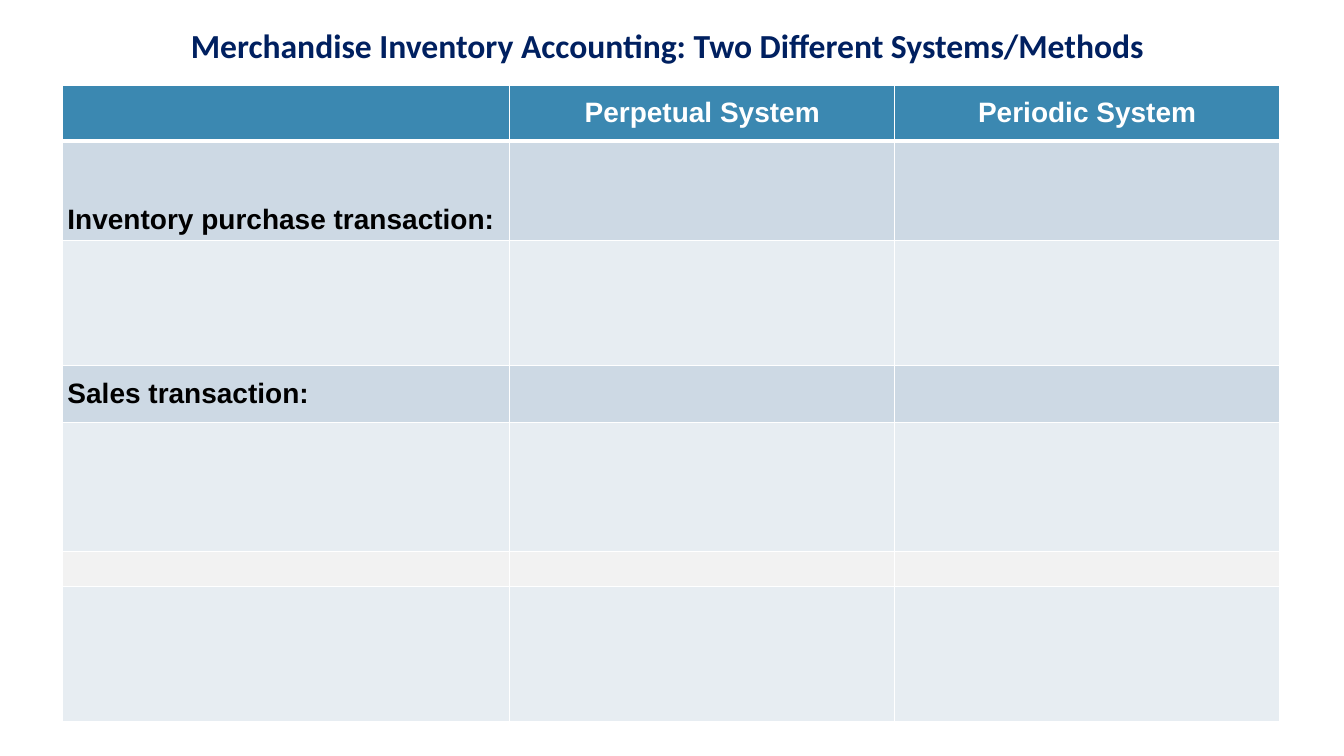
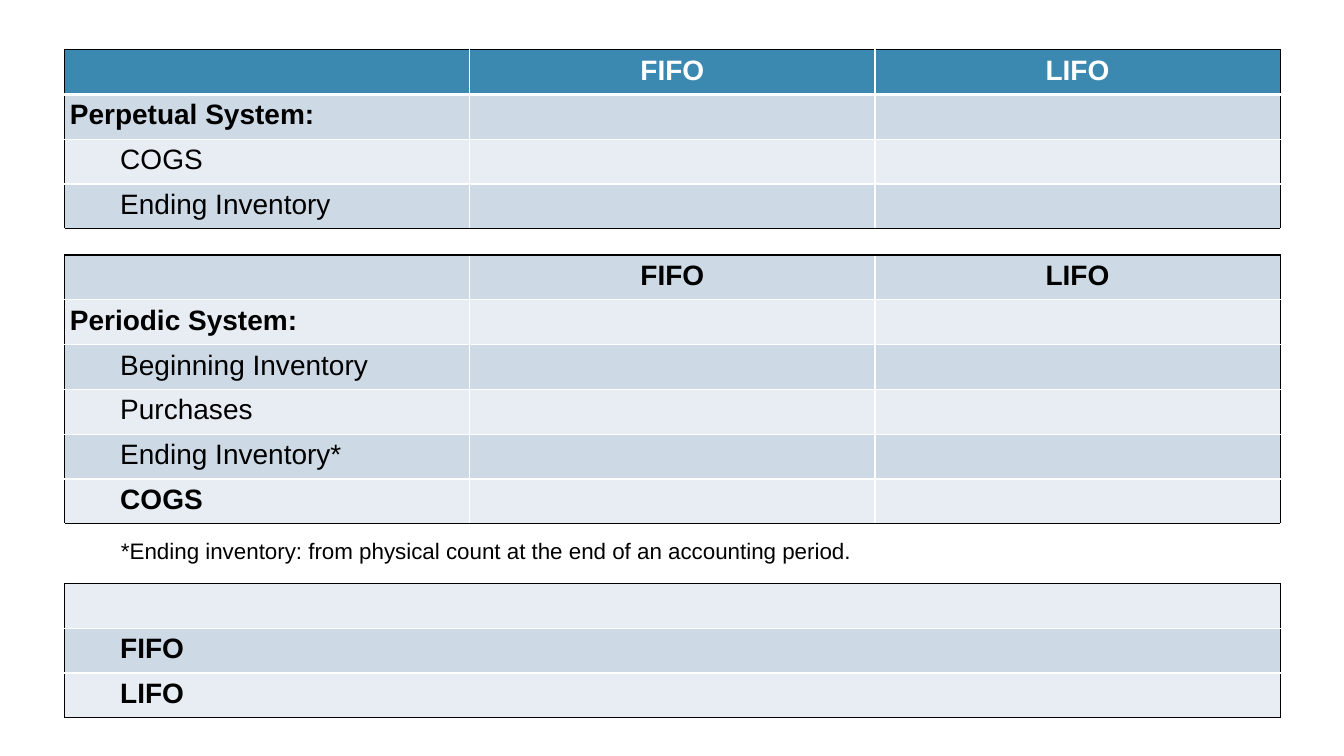
from dataclasses import dataclass

from lxml import etree
from pptx import Presentation
from pptx.dml.color import RGBColor
from pptx.enum.text import MSO_ANCHOR, MSO_AUTO_SIZE, PP_ALIGN
from pptx.oxml.ns import qn
from pptx.util import Cm, Pt

CENTER, LEFT = PP_ALIGN.CENTER, PP_ALIGN.LEFT
TOP, MIDDLE, BOTTOM = MSO_ANCHOR.TOP, MSO_ANCHOR.MIDDLE, MSO_ANCHOR.BOTTOM
FIT_SHAPE = MSO_AUTO_SIZE.SHAPE_TO_FIT_TEXT


@dataclass(frozen=True)
class Theme:
    navy: str = "002060"
    header: str = "3B88B1"
    dark_band: str = "CDD9E4"
    light_band: str = "E7EDF2"
    grey_band: str = "F2F2F2"
    black: str = "000000"
    white: str = "FFFFFF"
    title_font: str = "Calibri"
    body_font: str = "Arial"
    title_size: int = 24
    table_size: int = 20
    note_size: int = 16
    empty_size: int = 8
    inset: int = Cm(0.13)
    indent: int = Cm(1.27)
    thin: int = Pt(1)
    thick: int = Pt(3)


THEME = Theme()


def write(frame, text, size, color, bold=False, font=THEME.body_font, align=LEFT):
    frame.margin_left = frame.margin_right = THEME.inset
    frame.margin_top = frame.margin_bottom = THEME.inset
    paragraph = frame.paragraphs[0]
    paragraph.text = text
    paragraph.alignment = align
    paragraph.font.name = font
    paragraph.font.size = Pt(size)
    paragraph.font.bold = bold
    paragraph.font.color.rgb = RGBColor.from_string(color)
    return paragraph


def style_cell(cell, fill, borders):
    """Fill a cell and draw its borders, given as {side: (color, width)}."""
    properties = cell._tc.get_or_add_tcPr()
    for side in "LRTB":
        color, width = borders[side]
        line = etree.SubElement(properties, qn(f"a:ln{side}"), w=str(width))
        solid = etree.SubElement(line, qn("a:solidFill"))
        etree.SubElement(solid, qn("a:srgbClr"), val=color)
    if fill:
        cell.fill.solid()
        cell.fill.fore_color.rgb = RGBColor.from_string(fill)
    else:
        cell.fill.background()
    cell.margin_left = cell.margin_right = THEME.inset
    cell.margin_top = cell.margin_bottom = THEME.inset


presentation = Presentation()
presentation.slide_width, presentation.slide_height = Cm(33.87), Cm(19.05)
blank = presentation.slide_layouts[6]
systems_slide = presentation.slides.add_slide(blank)
costing_slide = presentation.slides.add_slide(blank)

title = systems_slide.shapes.add_textbox(Cm(0), Cm(0.51), Cm(33.64), Cm(1.27))
title.text_frame.word_wrap = True
title.text_frame.auto_size = FIT_SHAPE
write(title.text_frame, "Merchandise Inventory Accounting: Two Different Systems/Methods",
      THEME.title_size, THEME.navy, True, THEME.title_font, CENTER)

# Each row: height in cm, fill, texts, first-column style, anchor
dark, light = THEME.dark_band, THEME.light_band
systems_rows = [
    (1.42, THEME.header, ["", "Perpetual System", "Periodic System"], "bold", MIDDLE),
    (2.51, dark, ["Inventory purchase transaction:"], "bold", BOTTOM),
    (3.15, light, [], "bold", TOP),
    (1.42, dark, ["Sales transaction:"], "bold", MIDDLE),
    (3.25, light, [], "bold", TOP),
    (0.89, THEME.grey_band, [], "bold", TOP),
    (3.4, light, [], "bold", TOP),
]

line_height = 1.13
methods = ["", "FIFO", "LIFO"]
costing_rows = [
    (line_height, THEME.header, methods, "bold", TOP),
    (line_height, dark, ["Perpetual System:"], "bold", TOP),
    (line_height, light, ["COGS"], "indent", TOP),
    (line_height, dark, ["Ending Inventory"], "indent", TOP),
    (0.66, None, [], "gap", TOP),
    (line_height, dark, methods, "bold", TOP),
    (line_height, light, ["Periodic System:"], "bold", TOP),
    (line_height, dark, ["Beginning Inventory"], "indent", TOP),
    (line_height, light, ["Purchases"], "indent", TOP),
    (line_height, dark, ["Ending Inventory*"], "indent", TOP),
    (line_height, light, ["COGS"], "bold indent", TOP),
    (1.5, None, [], "gap", TOP),
    (line_height, light, [], "merged", TOP),
    (line_height, dark, ["FIFO"], "merged bold indent", TOP),
    (line_height, light, ["LIFO"], "merged bold indent", TOP),
]

# Each table: slide, left, top, column widths in cm, rows, outline color
tables = [
    (systems_slide, 1.57, 2.14, [11.28, 9.7, 9.7], systems_rows, THEME.white),
    (costing_slide, 1.63, 1.25, [10.21] * 3, costing_rows, THEME.black),
]
for slide, left, top, widths, rows, outline in tables:
    height = sum(row[0] for row in rows)
    table = slide.shapes.add_table(len(rows), len(widths), Cm(left), Cm(top),
                                   Cm(sum(widths)), Cm(height)).table
    table.first_row = table.horz_banding = False
    for column, width in zip(table.columns, widths):
        column.width = Cm(width)

    fills = [None] + [row[1] for row in rows] + [None]
    for row_index, (height, fill, texts, style, anchor) in enumerate(rows):
        table.rows[row_index].height = Cm(height)
        above, below = fills[row_index], fills[row_index + 2]
        is_header = fill == THEME.header
        text_color = THEME.white if is_header else THEME.black
        side_color = outline if fill else THEME.white
        top_color = THEME.white if fill and above else outline
        bottom_color = THEME.white if fill and below else outline
        last_column = len(widths) - 1
        for column_index in range(len(widths)):
            cell = table.cell(row_index, column_index)
            at_right = column_index == last_column or "merged" in style
            style_cell(cell, fill, {
                "L": (side_color if column_index == 0 else THEME.white, THEME.thin),
                "R": (side_color if at_right else THEME.white, THEME.thin),
                "T": (top_color, THEME.thick if above == THEME.header else THEME.thin),
                "B": (bottom_color, THEME.thick if is_header else THEME.thin),
            })
            cell.vertical_anchor = anchor
            text = texts[column_index] if column_index < len(texts) else ""
            if not text:
                # Small type keeps empty rows from growing
                etree.SubElement(cell.text_frame.paragraphs[0]._p, qn("a:endParaRPr"),
                                 sz=str(THEME.empty_size * 100))
                continue
            paragraph = write(cell.text_frame, text, THEME.table_size, text_color,
                              "bold" in style, align=CENTER if column_index else LEFT)
            if "indent" in style:
                paragraph.level = 1
                paragraph._p.get_or_add_pPr().set("marL", str(THEME.indent))
        if "merged" in style:
            table.cell(row_index, 0).merge(table.cell(row_index, last_column))

footnote = costing_slide.shapes.add_textbox(Cm(2.92), Cm(13.41), Cm(18.75), Cm(0.91))
footnote.text_frame.word_wrap = False
footnote.text_frame.auto_size = FIT_SHAPE
write(footnote.text_frame,
      "*Ending inventory: from physical count at the end of an accounting period.",
      THEME.note_size, THEME.black)

presentation.save("out.pptx")
